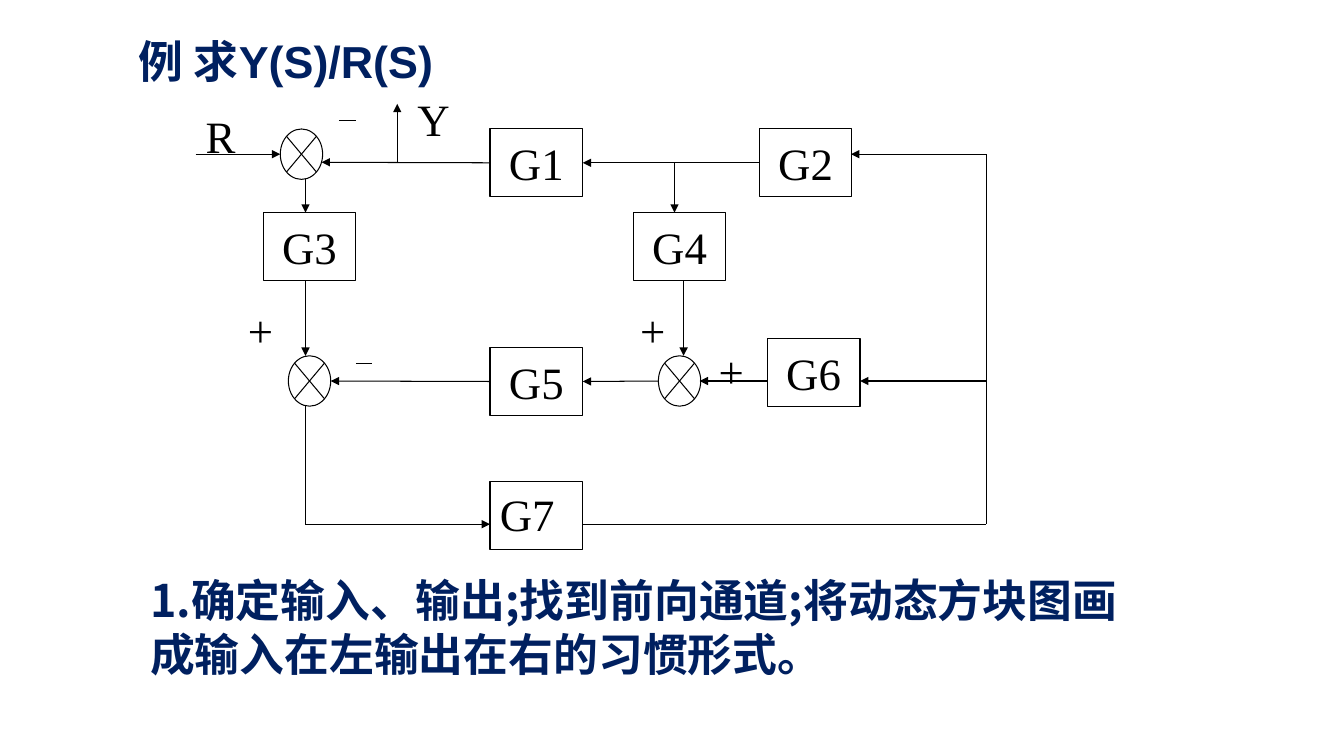
from lxml.etree import SubElement
from pptx import Presentation
from pptx.dml.color import RGBColor
from pptx.enum.shapes import MSO_CONNECTOR as Link, MSO_SHAPE as Shape
from pptx.enum.text import MSO_ANCHOR as Anchor, PP_ALIGN as Align
from pptx.oxml.ns import qn
from pptx.util import Inches, Pt

BLACK = RGBColor(0x00, 0x00, 0x00)
NAVY = RGBColor(0x00, 0x20, 0x60)
SERIF, SANS, CHINESE = "Times New Roman", "Arial", "Noto Sans CJK SC"
BLOCK_SIZE = (0.92, 0.67)
JUNCTION_SIZE = (0.42, 0.5)
LEFT, RIGHT = 1, 3  # connection sites of a block


class Diagram:
    text_size = Pt(32)
    line_width = Pt(0.75)

    def __init__(self, page):
        self.shapes = page.shapes

    def style_text(self, frame, text, font=SERIF, color=BLACK, bold=False):
        frame.text = text
        for span in frame.paragraphs[0].runs:
            span.font.name = font
            span.font.size = self.text_size
            span.font.bold = bold
            span.font.color.rgb = color
            if font != SERIF:
                east_asian = SubElement(span.font._element, qn("a:ea"))
                east_asian.set("typeface", CHINESE)

    def label(self, text, left, top, width, height=0.63, **style):
        box = self.shapes.add_textbox(*map(Inches, (left, top, width, height)))
        box.text_frame.word_wrap = True
        self.style_text(box.text_frame, text, **style)

    def outline(self, kind, left, top, size):
        shape = self.shapes.add_shape(kind, *map(Inches, (left, top, *size)))
        shape.shadow.inherit = False
        shape.fill.background()
        shape.line.color.rgb = BLACK
        shape.line.width = self.line_width
        return shape

    def block(self, text, left, top):
        block = self.outline(Shape.RECTANGLE, left, top, BLOCK_SIZE)
        if text:
            frame = block.text_frame
            frame.word_wrap = False
            frame.vertical_anchor = Anchor.MIDDLE
            self.style_text(frame, text)
            frame.paragraphs[0].alignment = Align.CENTER
        return block

    def junction(self, left, top):
        self.outline(Shape.FLOWCHART_SUMMING_JUNCTION, left, top, JUNCTION_SIZE)

    def line(self, start, end, arrow=True, source=None, target=None):
        line = self.shapes.add_connector(Link.STRAIGHT, *map(Inches, (*start, *end)))
        line.line.color.rgb = BLACK
        line.line.width = self.line_width
        if arrow:
            SubElement(line.line._get_or_add_ln(), qn("a:tailEnd")).set("type", "triangle")
        SubElement(line._element.spPr, qn("a:effectLst"))
        if source:
            line.begin_connect(source, LEFT)
        if target:
            line.end_connect(target, RIGHT)


def main():
    deck = Presentation()
    deck.slide_width, deck.slide_height = Inches(13.33), Inches(7.5)
    diagram = Diagram(deck.slides.add_slide(deck.slide_layouts[6]))

    # Title
    diagram.label("例 求Y(S)/R(S)", 1.28, 0.29, 10, font=SANS, color=NAVY, bold=True)

    # Transfer blocks
    places = {
        "G1": (4.86, 1.28), "G2": (7.53, 1.28), "G3": (2.61, 2.11),
        "G4": (6.28, 2.11), "G5": (4.86, 3.45), "G6": (7.61, 3.36),
    }
    blocks = {name: diagram.block(name, *place) for name, place in places.items()}
    diagram.block("", 4.86, 4.78)

    # Signals between blocks that meet at mid-side
    diagram.line((7.53, 1.61), (5.78, 1.61), source=blocks["G2"], target=blocks["G1"])
    diagram.line((4.86, 1.61), (3.19, 1.61), source=blocks["G1"])
    diagram.line((4.86, 3.78), (3.28, 3.78), source=blocks["G5"])
    diagram.line((6.53, 3.78), (5.78, 3.78), target=blocks["G5"])

    # Other signals with arrowheads
    for start, end in (
        ((1.94, 1.53), (2.78, 1.53)),  # input R
        ((3.94, 1.61), (3.94, 1.03)),  # output Y
        ((3.03, 1.78), (3.03, 2.11)),
        ((3.03, 2.78), (3.03, 3.53)),
        ((6.69, 1.61), (6.69, 2.11)),
        ((6.78, 2.78), (6.78, 3.53)),
        ((7.61, 3.78), (6.94, 3.78)),
        ((3.03, 5.2), (4.86, 5.2)),
        ((9.78, 1.53), (8.44, 1.53)),
        ((9.78, 3.78), (8.53, 3.78)),
    ):
        diagram.line(start, end)

    # Plain runs of the loop through G7, then the two minus signs
    for start, end in (
        ((3.03, 4.03), (3.03, 5.2)),
        ((5.78, 5.2), (9.78, 5.2)),
        ((9.78, 5.2), (9.78, 1.53)),
        ((3.36, 1.2), (3.53, 1.2)),
        ((3.53, 3.61), (3.69, 3.61)),
    ):
        diagram.line(start, end, arrow=False)

    # Signal names and plus signs
    for text, left, top, width in (
        ("R", 1.94, 1.03, 10),
        ("Y", 4.04, 0.86, 0.92),
        ("G7", 4.86, 4.78, 0.83),
        ("+", 2.36, 2.95, 1.33),
        ("+", 6.25, 2.95, 1.45),
        ("+", 7.03, 3.36, 0.33),
    ):
        diagram.label(text, left, top, width)

    # Summing junctions
    for left, top in ((2.86, 3.53), (2.78, 1.28), (6.53, 3.53)):
        diagram.junction(left, top)

    # Solution step
    diagram.label(
        "1.确定输入、输出;找到前向通道;将动态方块图画成输入在左输出在右的习惯形式。",
        1.39, 5.63, 10, 1.18, font=CHINESE, color=NAVY, bold=True,
    )

    deck.save("out.pptx")


if __name__ == "__main__":
    main()
